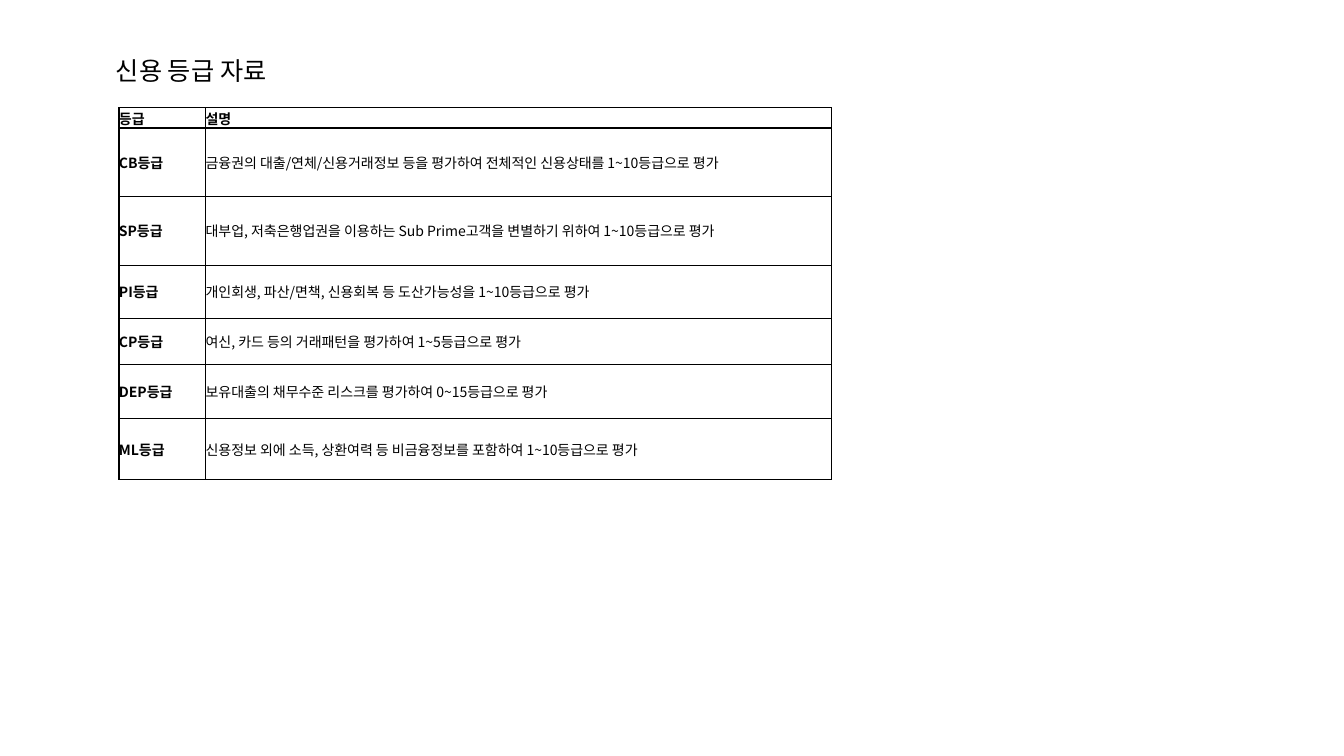
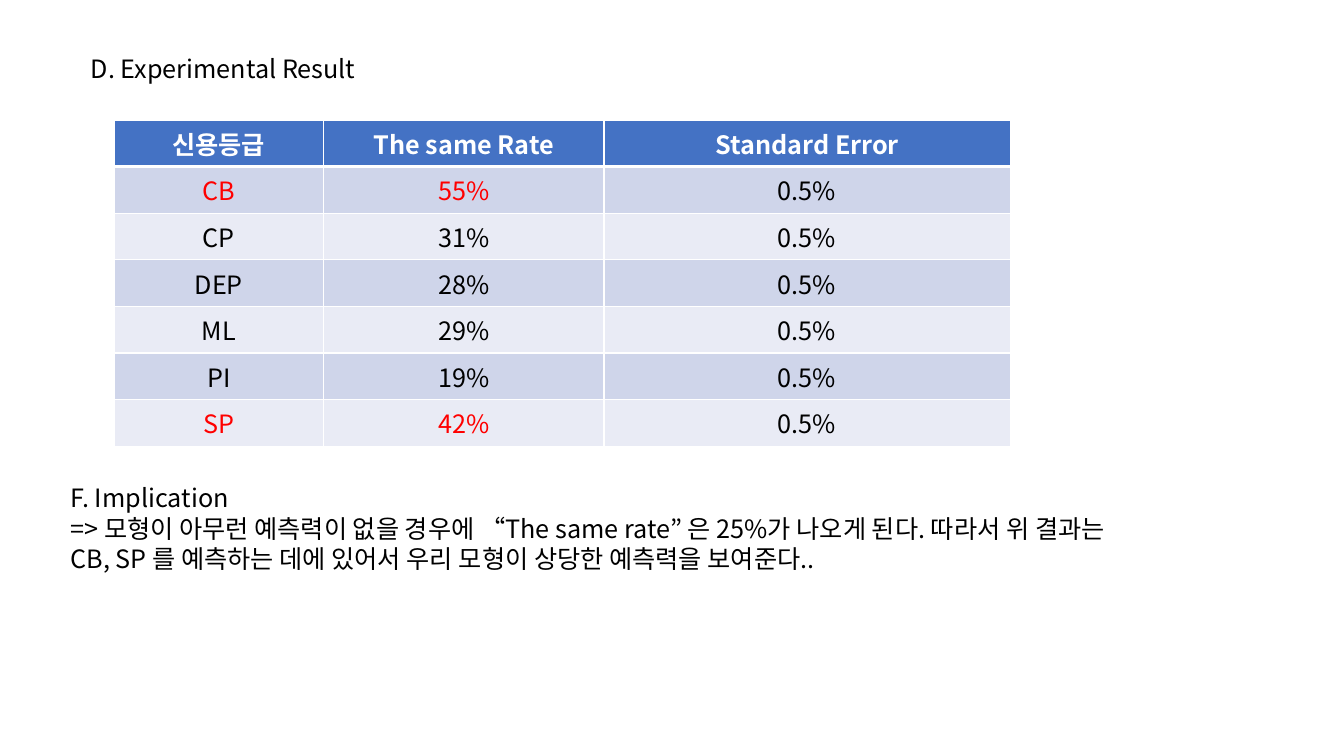
from dataclasses import dataclass

from lxml import etree
from pptx import Presentation
from pptx.dml.color import RGBColor
from pptx.enum.text import MSO_ANCHOR, MSO_AUTO_SIZE, PP_ALIGN
from pptx.oxml.ns import qn
from pptx.util import Inches, Pt

FONT = "Noto Sans CJK KR"
BLACK = RGBColor(0x00, 0x00, 0x00)
WHITE = RGBColor(0xFF, 0xFF, 0xFF)
RED = RGBColor(0xFF, 0x00, 0x00)
BLUE = RGBColor(0x44, 0x72, 0xC4)
BAND_DARK = RGBColor(0xCF, 0xD5, 0xEA)
BAND_LIGHT = RGBColor(0xE9, 0xEB, 0xF5)

LEFT, CENTER, JUSTIFY = PP_ALIGN.LEFT, PP_ALIGN.CENTER, PP_ALIGN.JUSTIFY
TOP, MIDDLE = MSO_ANCHOR.TOP, MSO_ANCHOR.MIDDLE
NO_FIT = MSO_AUTO_SIZE.NONE
TITLE_ONLY = 5
BODY_SIZE = 18
HIGHLIGHTED = ("CB", "SP")

GRADES = [
    ("등급", "설명"),
    ("CB등급", "금융권의 대출/연체/신용거래정보 등을 평가하여 전체적인 신용상태를 1~10등급으로 평가"),
    ("SP등급", "대부업, 저축은행업권을 이용하는 Sub Prime고객을 변별하기 위하여 1~10등급으로 평가"),
    ("PI등급", "개인회생, 파산/면책, 신용회복 등 도산가능성을 1~10등급으로 평가"),
    ("CP등급", "여신, 카드 등의 거래패턴을 평가하여 1~5등급으로 평가"),
    ("DEP등급", "보유대출의 채무수준 리스크를 평가하여 0~15등급으로 평가"),
    ("ML등급", "신용정보 외에 소득, 상환여력 등 비금융정보를 포함하여 1~10등급으로 평가"),
]
RESULTS = [
    ("신용등급", "The same Rate", "Standard Error"),
    ("CB", "55%", "0.5%"),
    ("CP", "31%", "0.5%"),
    ("DEP", "28%", "0.5%"),
    ("ML", "29%", "0.5%"),
    ("PI", "19%", "0.5%"),
    ("SP", "42%", "0.5%"),
]
IMPLICATION = [
    "F. Implication",
    "=> 모형이 아무런 예측력이 없을 경우에 “The same rate” 은 25%가 나오게 된다. "
    "따라서 위 결과는 CB, SP 를 예측하는 데에 있어서 우리 모형이 상당한 예측력을 보여준다..",
]


@dataclass(frozen=True)
class Area:
    """A rectangle on the slide, in inches."""

    left: float
    top: float
    width: float
    height: float

    def lengths(self) -> tuple:
        """Return the four sides as lengths."""
        return tuple(Inches(side) for side in (self.left, self.top, self.width, self.height))


@dataclass(frozen=True)
class CellStyle:
    """The look of one table cell."""

    fill: RGBColor
    color: RGBColor
    size: int
    bold: bool
    align: PP_ALIGN
    anchor: MSO_ANCHOR
    border: RGBColor
    top_width: float = 1
    bottom_width: float = 1


def format_frame(frame, size: int, color: RGBColor, bold: bool, align: PP_ALIGN) -> None:
    """Format every paragraph and run of a text frame."""
    for para in frame.paragraphs:
        para.alignment = align
        for span in para.runs:
            font = span.font
            font.name, font.size, font.bold = FONT, Pt(size), bold
            font.color.rgb = color
            east_asian = etree.Element(qn("a:ea"), typeface=FONT)
            font._element.find(qn("a:latin")).addnext(east_asian)


def add_title_slide(deck, title: str, area: Area):
    """Add a title-only slide and place its title."""
    page = deck.slides.add_slide(deck.slide_layouts[TITLE_ONLY])
    box = page.shapes.title
    box.left, box.top, box.width, box.height = area.lengths()
    frame = box.text_frame
    frame.text = title
    frame.auto_size = NO_FIT
    frame.vertical_anchor = TOP
    format_frame(frame, BODY_SIZE, BLACK, False, LEFT)
    return page


def add_text(page, lines: list[str], area: Area) -> None:
    """Add a wrapped text box with one paragraph per line."""
    frame = page.shapes.add_textbox(*area.lengths()).text_frame
    frame.word_wrap = True
    frame.text = "\n".join(lines)
    format_frame(frame, BODY_SIZE, BLACK, False, LEFT)


def style_cell(cell, style: CellStyle) -> None:
    """Apply borders, fill and text format to a cell."""
    properties = cell._tc.get_or_add_tcPr()
    widths = {"lnL": 1, "lnR": 1, "lnT": style.top_width, "lnB": style.bottom_width}
    for tag, width in widths.items():
        line = etree.SubElement(properties, qn(f"a:{tag}"), w=str(Pt(width)))
        fill = etree.SubElement(line, qn("a:solidFill"))
        etree.SubElement(fill, qn("a:srgbClr"), val=str(style.border))
    cell.fill.solid()
    cell.fill.fore_color.rgb = style.fill
    cell.vertical_anchor = style.anchor
    format_frame(cell.text_frame, style.size, style.color, style.bold, style.align)


def grade_style(row: int, column: int, texts: tuple) -> CellStyle:
    """Return the look of a cell in the grade table."""
    return CellStyle(WHITE, BLACK, 10, row == 0 or column == 0, JUSTIFY, MIDDLE, BLACK)


def result_style(row: int, column: int, texts: tuple) -> CellStyle:
    """Return the look of a cell in the result table."""
    if row == 0:
        return CellStyle(BLUE, WHITE, BODY_SIZE, True, CENTER, TOP, WHITE, bottom_width=3)
    fill = BAND_DARK if row % 2 else BAND_LIGHT
    color = RED if texts[0] in HIGHLIGHTED and column < 2 else BLACK
    top_width = 3 if row == 1 else 1
    return CellStyle(fill, color, BODY_SIZE, False, CENTER, TOP, WHITE, top_width=top_width)


def add_table(page, data: list[tuple], left: float, top: float, columns: list[float],
              rows: list[float], choose_style, margin: float | None = None) -> None:
    """Add a table whose cells are styled by a rule."""
    area = Area(left, top, sum(columns), sum(rows))
    table = page.shapes.add_table(len(rows), len(columns), *area.lengths()).table
    table.first_row = table.horz_banding = False
    for column, width in zip(table.columns, columns):
        column.width = Inches(width)
    for row, height in zip(table.rows, rows):
        row.height = Inches(height)
    for row_index, texts in enumerate(data):
        for column_index, text in enumerate(texts):
            cell = table.cell(row_index, column_index)
            cell.text_frame.text = text
            if margin is not None:
                cell.margin_left = cell.margin_right = Inches(margin)
                cell.margin_top = cell.margin_bottom = Inches(margin)
            style_cell(cell, choose_style(row_index, column_index, texts))


def main() -> None:
    """Build and save the deck."""
    deck = Presentation()
    deck.slide_width, deck.slide_height = Inches(13.33), Inches(7.5)

    page = add_title_slide(deck, "신용 등급 자료", Area(1.05, 0.5, 4.05, 0.4))
    grade_rows = [0.16, 0.68, 0.68, 0.53, 0.46, 0.53, 0.61]
    add_table(page, GRADES, 1.18, 1.07, [0.86, 6.21], grade_rows, grade_style, margin=0)

    page = add_title_slide(deck, "D. Experimental Result", Area(0.8, 0.48, 5.56, 0.4))
    result_rows = [0.41] * len(RESULTS)
    add_table(page, RESULTS, 1.13, 1.19, [2.08, 2.78, 4.03], result_rows, result_style)
    add_text(page, IMPLICATION, Area(0.6, 4.74, 10.56, 1.01))

    deck.save("out.pptx")


if __name__ == "__main__":
    main()
